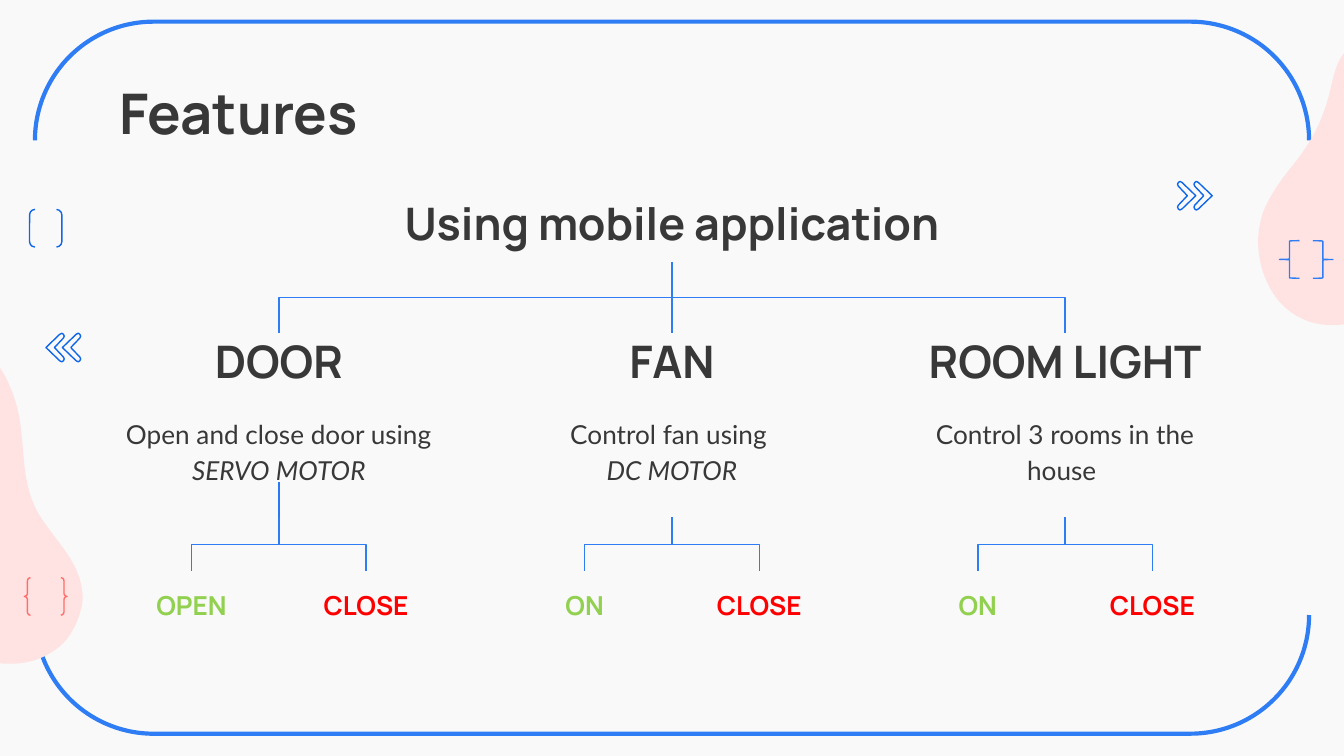
import pptx
import pptx.dml.color
import pptx.enum.shapes
import pptx.enum.text
import pptx.oxml.ns
import pptx.util
from lxml import etree
from pptx.util import Cm

COLORS = {
    "background": "F9F9F9", "text": "383838", "line": "2E7DF4", "stem": "2879F3",
    "icon": "0E66EB", "blob": "FFE3E3", "brace": "FF6E6B", "on": "92D050", "off": "FF0000",
}
SHAPES = pptx.enum.shapes.MSO_SHAPE
CONNECTORS = pptx.enum.shapes.MSO_CONNECTOR
ANCHORS = pptx.enum.text.MSO_ANCHOR
ALIGN = pptx.enum.text.PP_ALIGN

TITLE = {"size": pptx.util.Pt(30), "name": "Manrope", "bold": True}
HEADING = {"size": pptx.util.Pt(24), "name": "Manrope", "bold": True}
LABEL = {"size": pptx.util.Pt(14), "name": "Manrope", "bold": True}
BODY = {"size": pptx.util.Pt(14), "name": "Lato", "bold": False}

# Outlines: a start point, then lines (x, y) or curves (x, y of two handles and the end)
LEFT_BLOB = [
    (215, 225), (217, 219, 217, 213, 216, 208), (213, 186, 194, 170, 183, 151),
    (169, 125, 175, 97, 167, 70), (160, 46, 144, 24, 123, 12), (112, 5, 97, 1, 82, 0),
    (66, 0, 51, 3, 40, 13), (21, 28, 9, 52, 4, 76), (2, 82, 1, 88, 1, 93),
    (1, 96, 0, 100, 0, 103), (0, 121, 3, 140, 12, 155), (23, 172, 36, 183, 53, 194),
    (72, 206, 87, 223, 104, 238), (121, 253, 142, 265, 164, 264),
    (179, 264, 193, 258, 203, 248), (209, 241, 213, 233, 215, 225),
]
RIGHT_BLOB = [
    (107, 2), (89, 6, 72, 16, 64, 32), (59, 43, 58, 57, 53, 69), (48, 84, 39, 98, 29, 110),
    (21, 120, 14, 130, 9, 141), (0, 163, 4, 189, 18, 208), (32, 225, 50, 230, 70, 227),
    (97, 223, 123, 219, 150, 214), (155, 213, 161, 212, 167, 210),
    (179, 208, 191, 205, 203, 202), (215, 199, 226, 196, 234, 187),
    (245, 176, 246, 159, 241, 144), (237, 130, 226, 118, 215, 108),
    (208, 102, 201, 96, 195, 88), (185, 76, 181, 61, 175, 47), (168, 33, 166, 16, 151, 7),
    (144, 2, 134, 0, 125, 0), (119, 0, 113, 1, 107, 2),
]
CHEVRON = [
    (30, 0), (28, 0, 27, 1, 26, 2), (0, 27), (26, 52), (27, 53, 28, 54, 30, 54),
    (31, 54, 32, 53, 33, 52), (35, 50, 35, 47, 33, 45), (16, 27), (33, 9),
    (35, 7, 35, 4, 33, 2), (32, 1, 31, 0, 30, 0),
]


def color(name):
    return pptx.dml.color.RGBColor.from_string(COLORS[name])


def style_shape(shape, fill=None, line=None, width=0.75):
    shape.shadow.inherit = False
    for part, name in ((shape.fill, fill), (shape.line.fill, line)):
        if name:
            part.solid()
            part.fore_color.rgb = color(name)
        else:
            part.background()
    if line:
        shape.line.width = pptx.util.Pt(width)


def set_format(target, values):
    for name, value in values.items():
        setattr(target, name, value)


def fill_text(shape, paragraphs, font, color_name="text", **frame_values):
    """Each paragraph is a list of (text, italic) runs."""
    frame = shape.text_frame
    set_format(frame, {"word_wrap": True, "auto_size": pptx.enum.text.MSO_AUTO_SIZE.NONE,
                       "vertical_anchor": ANCHORS.TOP, **frame_values})
    for side in ("left", "top", "right", "bottom"):
        setattr(frame, f"margin_{side}", Cm(0.25))
    for index, runs in enumerate(paragraphs):
        paragraph = frame.add_paragraph() if index else frame.paragraphs[0]
        set_format(paragraph, {"alignment": ALIGN.CENTER, "line_spacing": 1.15})
        for text, italic in runs:
            run = paragraph.add_run()
            run.text = text
            set_format(run.font, {**font, "italic": italic})
            run.font.color.rgb = color(color_name)


def add_text(slide, box, paragraphs, font, **values):
    shape = slide.shapes.add_textbox(*map(Cm, box))
    fill_text(shape, paragraphs, font, **values)
    return shape


def add_outline(slide, left, top, outline, unit, mirror_width=None):
    """Build an outline from its corner points, then bend its curved segments."""
    segments = []
    for values in outline:
        pairs = zip(values[::2], values[1::2])
        segments.append([(Cm(left + (mirror_width - x if mirror_width else x) * unit),
                          Cm(top + y * unit)) for x, y in pairs])
    builder = slide.shapes.build_freeform(*segments[0][0])
    builder.add_line_segments([segment[-1] for segment in segments[1:]], close=True)
    shape = builder.convert_to_shape()
    lines = list(shape._element.iter(pptx.oxml.ns.qn("a:lnTo")))
    for line, segment in zip(lines, segments[1:]):
        if len(segment) == 1:
            continue
        curve = etree.Element(pptx.oxml.ns.qn("a:cubicBezTo"))
        for x, y in segment:
            etree.SubElement(curve, pptx.oxml.ns.qn("a:pt"),
                             x=str(x - shape.left), y=str(y - shape.top))
        line.getparent().replace(line, curve)
    return shape


def add_chevrons(slide, left, top, mirror_width=None):
    for offset in (0, 0.31):
        shape = add_outline(slide, left + offset, top, CHEVRON, 0.01, mirror_width)
        style_shape(shape, line="icon")


def style_connector(connector, color_name="line"):
    connector.line.color.rgb = color(color_name)
    connector.line.width = pptx.util.Pt(0.75)
    etree.SubElement(connector._element.spPr, pptx.oxml.ns.qn("a:effectLst"))


def connect_down(slide, parent, child):
    """Join the bottom of the parent to the top of the child."""
    start_x, end_x = (shape.left + shape.width // 2 for shape in (parent, child))
    start_y, end_y = parent.top + parent.height, child.top
    across, down = end_x - start_x, end_y - start_y
    straight = abs(across) < Cm(0.05)
    kind = CONNECTORS.STRAIGHT if straight else CONNECTORS.ELBOW
    connector = slide.shapes.add_connector(kind, start_x, start_y, end_x, end_y)
    connector.begin_connect(parent, 2)
    connector.end_connect(child, 0)
    if not straight:
        # A turned elbow leaves and arrives vertically
        set_format(connector, {
            "left": (start_x + end_x - down) // 2, "width": down,
            "top": (start_y + end_y - abs(across)) // 2, "height": abs(across)})
        set_format(connector._element.spPr.xfrm, {
            "rot": 90 if across < 0 else 270, "flipH": across > 0, "flipV": False})
    style_connector(connector)


def add_decoration(slide):
    presets = [
        (SHAPES.DOUBLE_BRACKET, (5.97, -4.9, 13.46, 24.08), 90, "line", 2.25),
        (SHAPES.LEFT_BRACE, (24.18, 4.55, 0.38, 0.71), 0, "line", 0.75),
        (SHAPES.LEFT_BRACE, (24.81, 4.55, 0.38, 0.71), 180, "line", 0.75),
        (SHAPES.DOUBLE_BRACKET, (0.56, 3.96, 0.61, 0.71), 0, "icon", 0.75),
        (SHAPES.DOUBLE_BRACE, (0.46, 10.92, 0.81, 0.71), 0, "brace", 0.75),
    ]
    for index, (kind, box, rotation, line, width) in enumerate(presets):
        shape = slide.shapes.add_shape(kind, *map(Cm, box))
        shape.rotation = rotation
        style_shape(shape, line=line, width=width)
        if kind == SHAPES.LEFT_BRACE:
            shape.adjustments[0] = 0.022
        if index == 0:
            # Blobs lie over the frame and under the icons
            for left, top, outline in ((-3.94, 5.84, LEFT_BLOB), (23.67, 0.36, RIGHT_BLOB)):
                style_shape(add_outline(slide, left, top, outline, 0.0254), fill="blob")
    add_chevrons(slide, 0.87, 6.3)
    add_chevrons(slide, 22.25, 3.43, mirror_width=35)


def add_title(slide, box, text):
    title = slide.shapes.title
    set_format(title, dict(zip(("left", "top", "width", "height"), map(Cm, box))))
    fill_text(title, [[(text, False)]], TITLE)
    set_format(title.text_frame.paragraphs[0], {"alignment": ALIGN.LEFT, "line_spacing": 1.0})


def add_feature(slide, box, root, heading, description, states):
    """One branch: heading, description and its two states."""
    left, top, width, height = box
    heading_shape = add_text(slide, (left, top, width, 1.27), [[(heading, False)]], HEADING,
                             vertical_anchor=ANCHORS.BOTTOM)
    body = add_text(slide, (left, top + 1.27, width, 2.21), description, BODY)
    connect_down(slide, root, heading_shape)
    label_width, label_height, spread = 2.82, 0.89, 1.65
    for text, name, side in zip(states, ("on", "off"), (-1, 1)):
        label_left = left + width / 2 + side * spread - label_width / 2
        label = add_text(slide, (label_left, top + height - label_height, label_width,
                                 label_height), [[(text, False)]], LABEL, color_name=name)
        connect_down(slide, body, label)
    return body


def main():
    presentation = pptx.Presentation()
    presentation.slide_width, presentation.slide_height = Cm(25.4), Cm(14.29)
    slide = presentation.slides.add_slide(presentation.slide_layouts[5])
    slide.background.fill.solid()
    slide.background.fill.fore_color.rgb = color("background")

    add_decoration(slide)
    add_title(slide, (2, 1.24, 21.4, 1.6), "Features")

    # Feature tree
    root = add_text(slide, (6.64, 3.69, 12.12, 1.27), [[("Using mobile application", False)]],
                    HEADING, vertical_anchor=ANCHORS.BOTTOM)
    features = [
        ("DOOR", [[("Open and close door using ", False), ("SERVO MOTOR", True)]],
         ("OPEN", "CLOSE")),
        ("FAN", [[("Control fan using ", False)], [("DC MOTOR", True)]], ("ON", "CLOSE")),
        ("ROOM LIGHT", [[("Control 3 rooms in the house ", False)]], ("ON", "CLOSE")),
    ]
    bodies = [add_feature(slide, (2 + 7.43 * column, 6.3, 6.54, 5.39), root, *feature)
              for column, feature in enumerate(features)]

    # Stem that reaches up to the door text
    door = bodies[0]
    middle, bottom = door.left + door.width // 2, door.top + door.height
    stem = slide.shapes.add_connector(CONNECTORS.STRAIGHT, middle, bottom - Cm(0.66),
                                      middle, bottom)
    stem.end_connect(door, 2)
    style_connector(stem, "stem")

    presentation.save("out.pptx")


if __name__ == "__main__":
    main()
